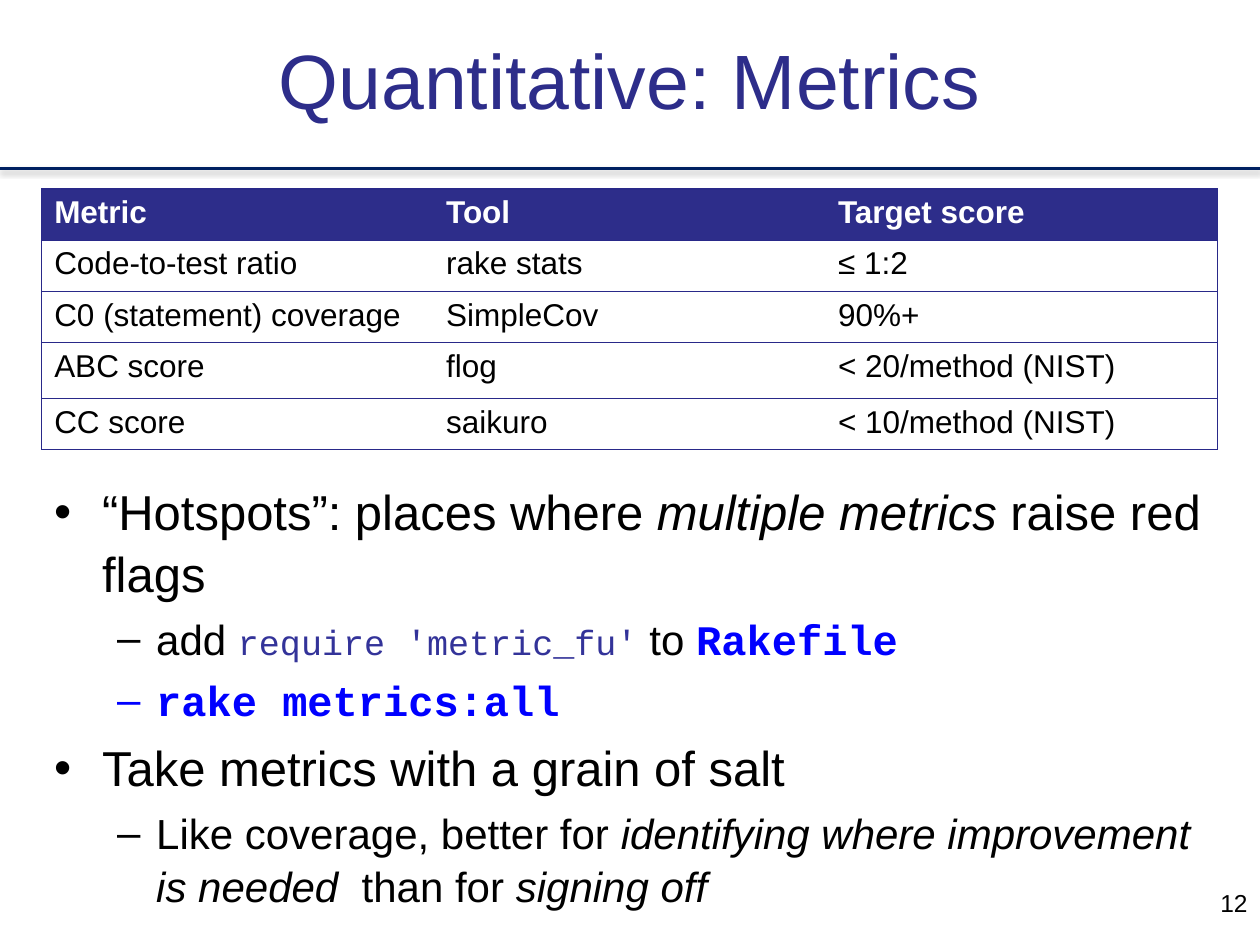
"""Build the Quantitative: Metrics slide."""
from lxml import etree
from pptx import Presentation
from pptx import util as u
from pptx.dml.color import RGBColor
from pptx.enum import shapes, text
from pptx.oxml import parse_xml
from pptx.oxml.ns import nsdecls, qn

INDIGO = RGBColor(0x2D, 0x2D, 0x8A)
BORDER = RGBColor(0x29, 0x29, 0x89)
NAVY = RGBColor(0x00, 0x20, 0x61)
CODE = RGBColor(0x33, 0x33, 0x99)
BLUE = RGBColor(0x00, 0x00, 0xFF)
BLACK = RGBColor(0, 0, 0)
WHITE = RGBColor(0xFF, 0xFF, 0xFF)
SANS = "Arial"
MONO = "Courier New"


def write(par, words, size, color=BLACK, name=SANS, bold=False, italic=False):
    run = par.add_run()
    run.text = words
    font = run.font
    font.name, font.size = name, u.Pt(size)
    font.bold, font.italic = bold, italic
    font.color.rgb = color


def frame(left, top, width, height):
    box = slide.shapes.add_textbox(u.Cm(left), u.Cm(top), u.Cm(width), u.Cm(height))
    box.text_frame.word_wrap = True
    return box.text_frame


deck = Presentation()
deck.slide_width, deck.slide_height = u.Cm(25.4), u.Cm(19.05)
slide = deck.slides.add_slide(deck.slide_layouts[6])

rule = slide.shapes.add_connector(
    shapes.MSO_CONNECTOR.STRAIGHT, u.Cm(0), u.Cm(3.4), u.Cm(25.4), u.Cm(3.4))
rule.line.color.rgb = NAVY
rule.line.width = u.Pt(2)
rule._element.spPr.append(parse_xml(
    f'<a:effectLst {nsdecls("a")}><a:outerShdw blurRad="{u.Pt(3.1)}" '
    f'dist="{u.Pt(1.6)}" dir="5400000" rotWithShape="0"><a:srgbClr val="808080">'
    '<a:alpha val="38000"/></a:srgbClr></a:outerShdw></a:effectLst>'))

title = frame(0, 0, 25.4, 3.18)
title.vertical_anchor = text.MSO_ANCHOR.MIDDLE
par = title.paragraphs[0]
par.alignment = text.PP_ALIGN.CENTER
write(par, "Quantitative: Metrics", 44, INDIGO)

rows = [
    ("Metric", "Tool", "Target score"),
    ("Code-to-test ratio", "rake stats", "≤ 1:2"),
    ("C0 (statement) coverage", "SimpleCov", "90%+"),
    ("ABC score", "flog", "< 20/method (NIST)"),
    ("CC score", "saikuro", "< 10/method (NIST)"),
]
tall = [1.03, 1.03, 1.03, 1.13, 1.03]
grid = slide.shapes.add_table(
    len(rows), 3, u.Cm(0.84), u.Cm(3.81), u.Cm(23.7), u.Cm(sum(tall))).table
grid.horz_banding = False
for col in grid.columns:
    col.width = u.Cm(7.9)
for r, row in enumerate(rows):
    grid.rows[r].height = u.Cm(tall[r])
    head = r == 0
    for c, words in enumerate(row):
        cell = grid.cell(r, c)
        if head:
            cell.fill.solid()
            cell.fill.fore_color.rgb = INDIGO
        else:
            cell.fill.background()
        write(cell.text_frame.paragraphs[0], words, 18, WHITE if head else BLACK, bold=head)
        props = cell._tc.get_or_add_tcPr()
        sides = {"lnL": c == 0, "lnR": c == 2, "lnT": True, "lnB": True}
        for i, (side, drawn) in enumerate(sides.items()):
            edge = etree.Element(qn(f"a:{side}"), w=str(u.Pt(0.75)))
            if drawn:
                fill = etree.SubElement(edge, qn("a:solidFill"))
                etree.SubElement(fill, qn("a:srgbClr"), val=str(BORDER))
            else:
                etree.SubElement(edge, qn("a:noFill"))
            props.insert(i, edge)

slant = {"italic": True}
key = {"name": MONO, "color": BLUE, "bold": True}
points = [
    (0, [("“Hotspots”: places where ", {}), ("multiple metrics ", slant),
         ("raise red flags", {})]),
    (1, [("add ", {}), ("require 'metric_fu'", {"name": MONO, "color": CODE, "size": 20}),
         (" to ", {}), ("Rakefile", key)]),
    (1, [("rake metrics:all", key)]),
    (0, [("Take metrics with a grain of salt", {})]),
    (1, [("Like coverage, better for ", {}),
         ("identifying where improvement is needed ", slant),
         (" than for ", {}), ("signing off", slant)]),
]
levels = [(28, 0.97, "•"), (24, 2.06, "–")]
hang = [0.97, 0.79]
body = frame(0.84, 9.53, 23.7, 7.06)
for n, (level, runs) in enumerate(points):
    par = body.add_paragraph() if n else body.paragraphs[0]
    size, left, mark = levels[level]
    props = par._p.get_or_add_pPr()
    props.set("marL", str(u.Cm(left)))
    props.set("indent", str(-u.Cm(hang[level])))
    etree.SubElement(props, qn("a:buFont"), typeface=SANS)
    etree.SubElement(props, qn("a:buChar"), char=mark)
    par.level = level
    par.line_spacing = 1.05
    if n:
        par.space_before = u.Pt(size * 0.2)
    for words, style in runs:
        write(par, words, **{"size": size, **style})

par = frame(19.48, 17.78, 5.92, 1.27).paragraphs[0]
par.alignment = text.PP_ALIGN.RIGHT
write(par, "12", 14)

deck.save("out.pptx")
